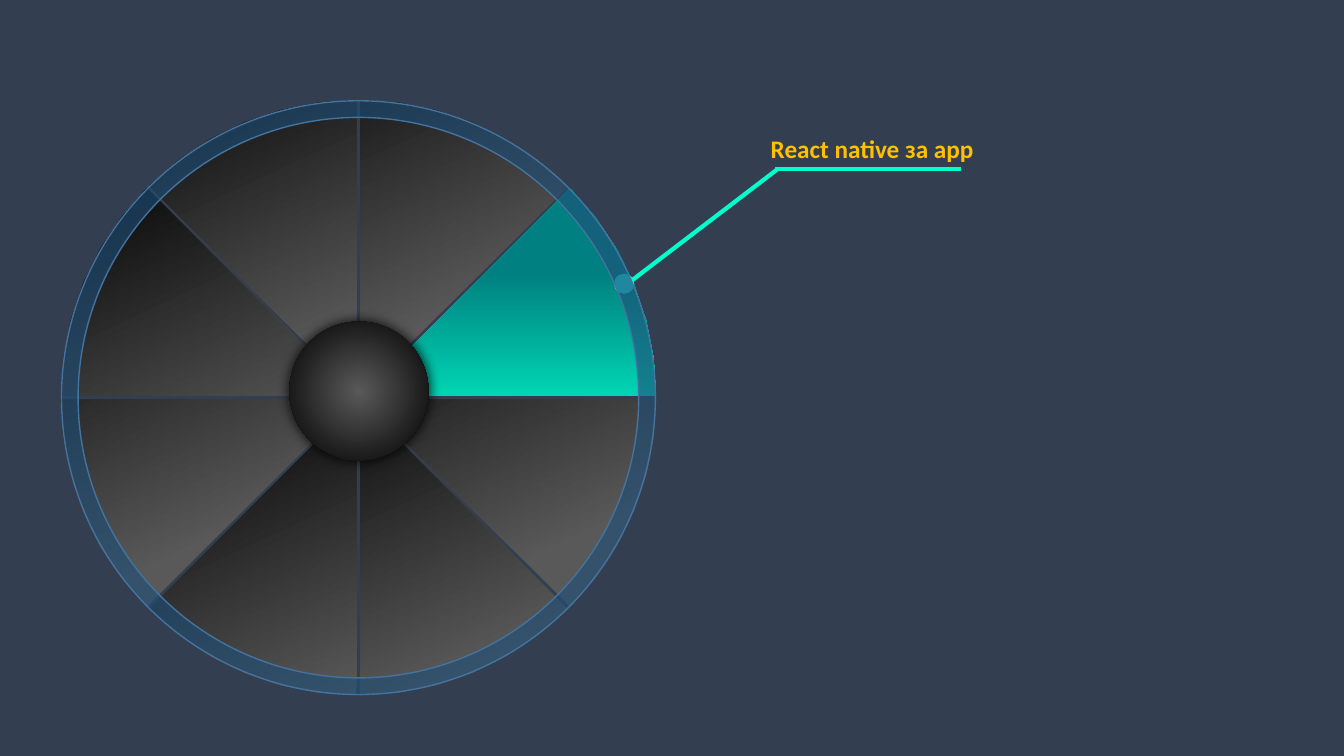
"""Build a dark slide with an eight-part wheel and one labelled sector."""
import math
import pptx
import pptx.dml.color
import pptx.enum.shapes
import pptx.enum.text
import pptx.oxml
import pptx.oxml.ns
import pptx.util

RGBColor = pptx.dml.color.RGBColor
BACK = RGBColor(0x33, 0x3F, 0x50)
GREY = RGBColor(0x59, 0x59, 0x59)
BLACK = RGBColor(0, 0, 0)
MINT = RGBColor(0, 0xFF, 0xCC)
TEAL = RGBColor(0, 0x80, 0x80)
CYAN = RGBColor(0x20, 0xE8, 0xDE)
NAVY = RGBColor(0x1F, 0x4E, 0x79)
BLUE = RGBColor(0x43, 0x73, 0x9E)
GOLD = RGBColor(0xFF, 0xC0, 0)
SPACE = pptx.oxml.ns.nsdecls("a")
KIND = pptx.enum.shapes.MSO_SHAPE

deck = pptx.Presentation()
deck.slide_width = pptx.util.Inches(13.33)
deck.slide_height = pptx.util.Inches(7.5)
slide = deck.slides.add_slide(deck.slide_layouts[6])
slide.background.fill.solid()
slide.background.fill.fore_color.rgb = BACK


def cell(*counts):
    """Turn counts of grid cells, 75 to the slide height, into lengths."""
    return [round(count * deck.slide_height / 75) for count in counts]


def blend(shape, first, last):
    """Give a shape a two-stop gradient and no line."""
    shape.shadow.inherit = False
    shape.line.fill.background()
    shape.fill.gradient()
    for stop, (place, color) in zip(shape.fill.gradient_stops, (first, last)):
        stop.position = place
        stop.color.rgb = color


mid_x, mid_y = 35.55, 39.45
parts, steps = 8, 6
span = math.tau / parts
reach, gap = 29.1, 0.45
tilt = math.sqrt(0.5)
for part in range(parts):
    half = (part + 0.5) * span
    tip_x, tip_y = cell(mid_x + gap * math.cos(half),
                        mid_y - gap * math.sin(half))
    turns = [(part + 1 + step / steps) * span for step in range(steps + 1)]
    arms = [cell(reach * math.cos(turn), -reach * math.sin(turn))
            for turn in turns]
    pen = slide.shapes.build_freeform(tip_x, tip_y)
    pen.add_line_segments([(tip_x + x, tip_y + y) for x, y in arms], close=True)
    wedge = pen.convert_to_shape()
    off_x = wedge.left + wedge.width / 2 - tip_x
    off_y = wedge.top + wedge.height / 2 - tip_y
    wedge.left += round(tilt * (off_x - off_y) - off_x)
    wedge.top += round(tilt * (off_x + off_y) - off_y)
    wedge.rotation = 45
    if part == 0:
        blend(wedge, (0.25, MINT), (0.76, TEAL))
        wedge.fill.gradient_angle = 135
    else:
        blend(wedge, (0.25, GREY), (1, BLACK))
        wedge.fill.gradient_angle = 160

hub = slide.shapes.add_shape(KIND.OVAL, *cell(28.7, 31.9, 13.8, 13.8))
blend(hub, (0, GREY), (1, BLACK))
lin = next(hub.element.iter(pptx.oxml.ns.qn("a:lin")))
lin.getparent().replace(lin, pptx.oxml.parse_xml(
    f'<a:path {SPACE} path="circle">'
    '<a:fillToRect l="50000" t="50000" r="50000" b="50000"/></a:path>'))
glow = hub.element.spPr.find(pptx.oxml.ns.qn("a:effectLst"))
glow.append(pptx.oxml.parse_xml(
    f'<a:outerShdw {SPACE} blurRad="{pptx.util.Pt(8)}" sx="102000" '
    'sy="102000" algn="ctr" rotWithShape="0"><a:srgbClr val="000000">'
    '<a:alpha val="72000"/></a:srgbClr></a:outerShdw>'))

dot = slide.shapes.add_shape(KIND.OVAL, *cell(60.9, 27.15, 2, 2))
dot.shadow.inherit = False
dot.fill.solid()
dot.fill.fore_color.rgb = CYAN
dot.line.fill.background()

for ends in ((62.7, 27.8, 77.1, 16.8), (76.9, 16.75, 95.3, 16.75)):
    line = slide.shapes.add_connector(
        pptx.enum.shapes.MSO_CONNECTOR.STRAIGHT, *cell(*ends))
    line.line.color.rgb = MINT
    line.line.width = pptx.util.Pt(3)
    line.element.spPr.append(pptx.oxml.parse_xml(f"<a:effectLst {SPACE}/>"))

label = slide.shapes.add_textbox(*cell(73.4, 12.7, 26.2, 4))
frame = label.text_frame
frame.word_wrap = True
frame.auto_size = pptx.enum.text.MSO_AUTO_SIZE.SHAPE_TO_FIT_TEXT
text = frame.paragraphs[0]
text.text = "React native за app"
text.alignment = pptx.enum.text.PP_ALIGN.CENTER
text.font.name = "Calibri"
text.font.size = pptx.util.Pt(18)
text.font.bold = True
text.font.color.rgb = GOLD

ring = slide.shapes.add_shape(KIND.DONUT, *cell(6.1, 10, 58.9, 58.9))
ring.adjustments[0] = 0.028
ring.shadow.inherit = False
ring.fill.solid()
ring.fill.fore_color.rgb = NAVY
tint = ring.element.spPr.find(pptx.oxml.ns.qn("a:solidFill"))[0]
tint.append(pptx.oxml.parse_xml(f'<a:alpha {SPACE} val="62000"/>'))
ring.line.color.rgb = BLUE
ring.line.width = pptx.util.Pt(1)

deck.save("out.pptx")
